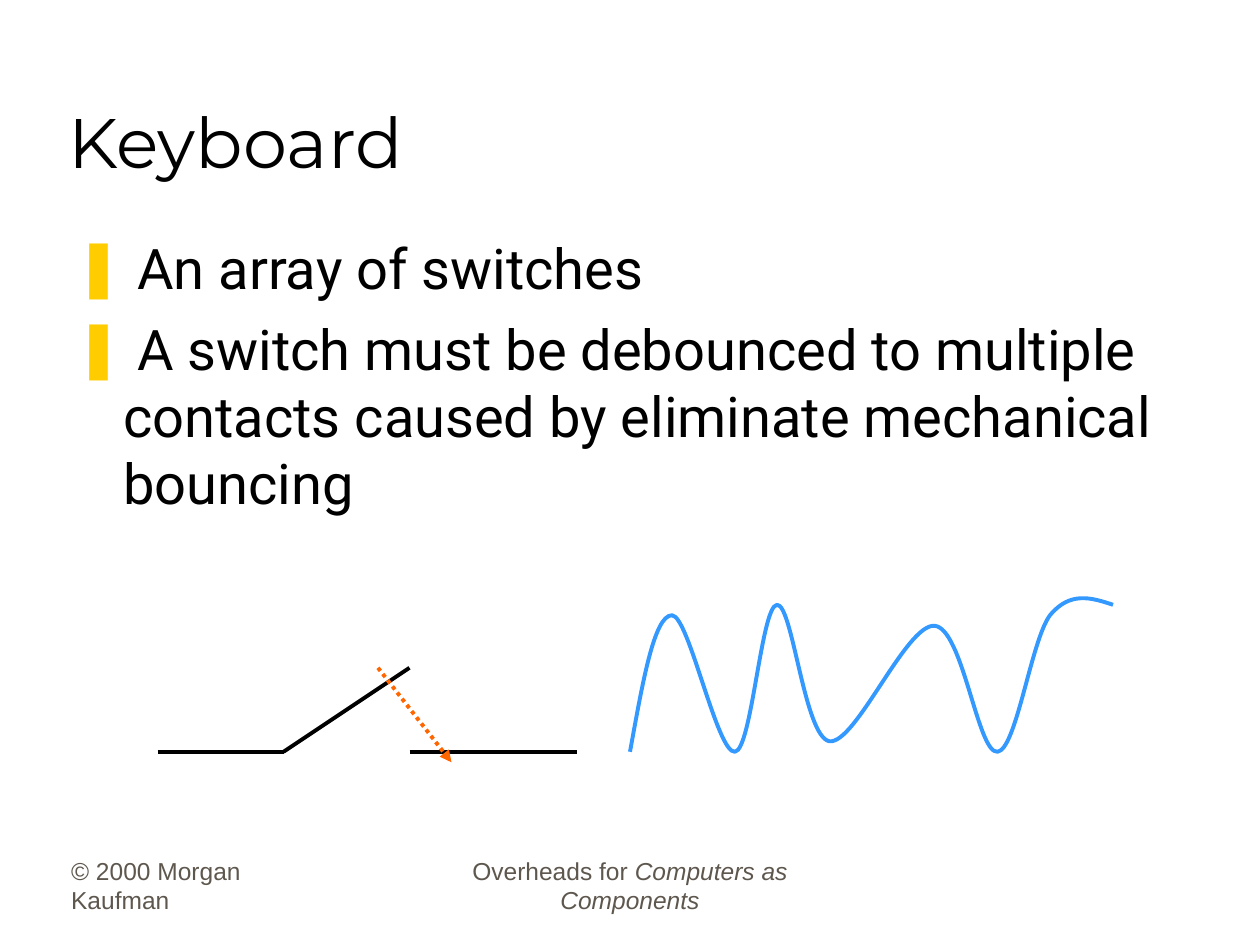
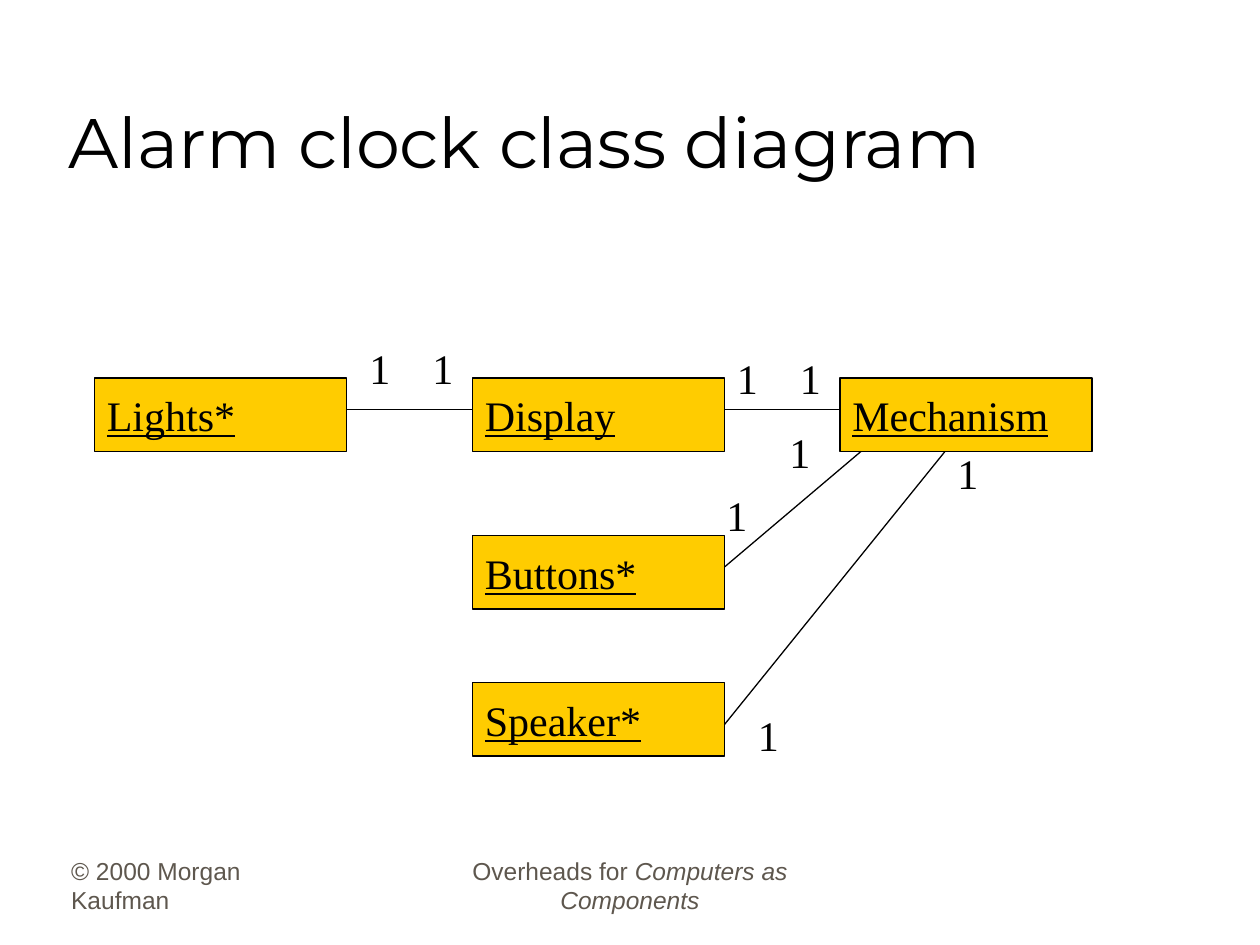
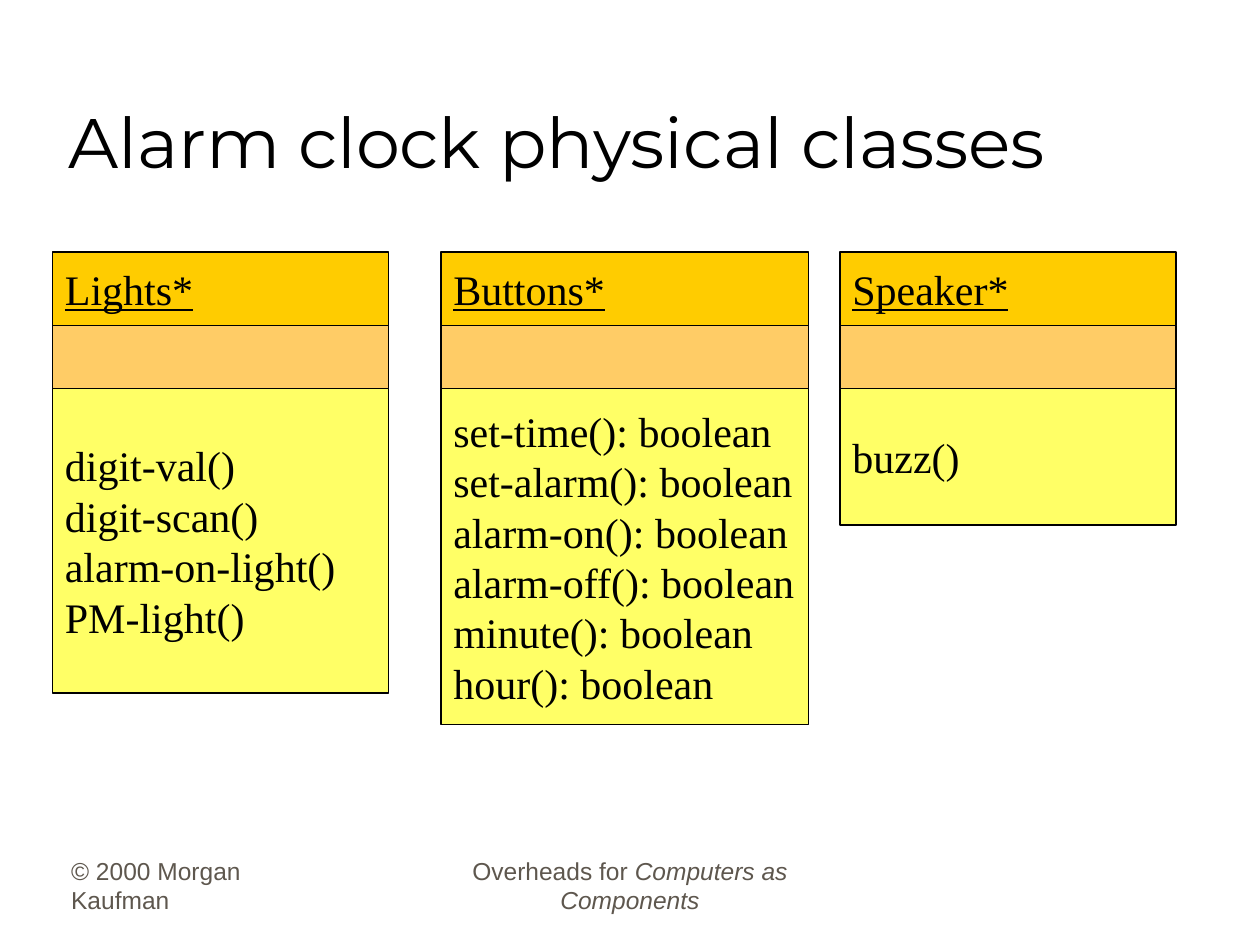
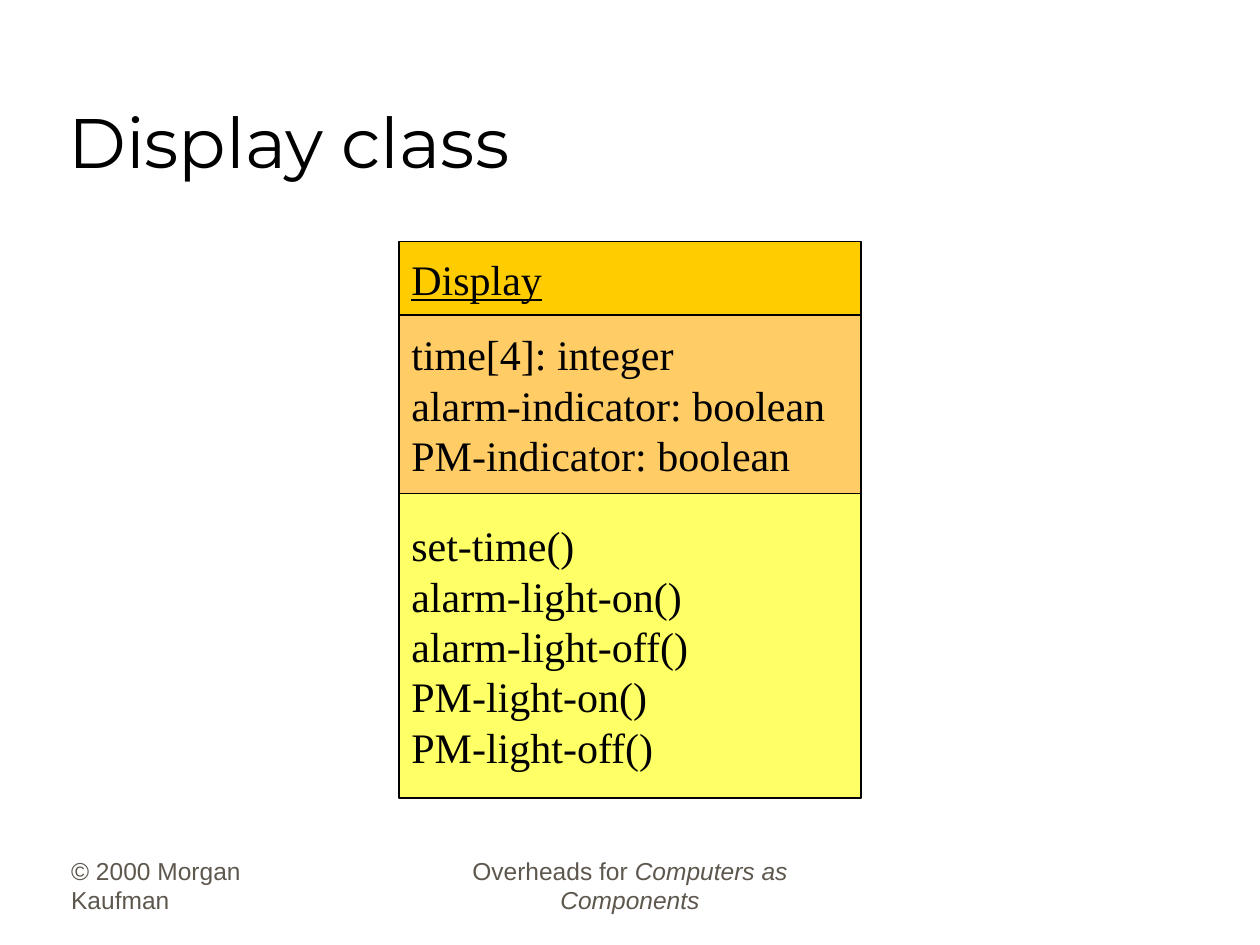
from lxml import etree
from pptx import Presentation
from pptx import util as u
from pptx.dml.color import RGBColor
from pptx.enum import dml, shapes, text
from pptx.oxml import ns

COLORS = {
    "ink": "000000", "footer": "5E574E", "name": "FFCC00", "attributes": "FFCC66",
    "methods": "FFFF66", "motion": "FF6600", "signal": "3399FF",
}
FONTS = {
    "title": {"name": "Montserrat", "size": u.Pt(40)},
    "list": {"name": "Roboto", "size": u.Pt(32)},
    "footer": {"name": "Arial", "size": u.Pt(14)},
    "diagram": {"name": "Times New Roman", "size": u.Pt(24)},
}
UNIT = u.Inches(10) // 120  # the slide is a grid of 120 columns by 90 rows
NAME_ROWS = 7
FOOTERS = [
    (5.6, 25, text.PP_ALIGN.LEFT, [("© 2000 Morgan Kaufman", False)]),
    (41, 38, text.PP_ALIGN.CENTER,
     [("Overheads for ", False), ("Computers as Components", True)]),
]


def grid(*cells):
    return [u.Emu(round(cell * UNIT)) for cell in cells]


def color(key):
    return RGBColor.from_string(COLORS[key])


def set_all(target, values):
    for key, value in values.items():
        setattr(target, key, value)


def xml_child(parent, tag, **attributes):
    return etree.SubElement(parent, ns.qn(tag), attributes)


def write(paragraph, words, style, ink="ink", **extra):
    run = paragraph.add_run()
    run.text = words
    set_all(run.font, {**FONTS[style], **extra})
    run.font.color.rgb = color(ink)


def place(item, *cells):
    set_all(item, dict(zip(("left", "top", "width", "height"), grid(*cells))))


def set_frame(frame, anchor, wrap=True):
    set_all(frame, {"vertical_anchor": anchor, "word_wrap": wrap,
                    "auto_size": text.MSO_AUTO_SIZE.NONE})


def paragraphs(frame, count):
    return [frame.paragraphs[0]] + [frame.add_paragraph() for _ in range(count - 1)]


def new_slide(deck, heading, layout=5):
    slide = deck.slides.add_slide(deck.slide_layouts[layout])
    title = slide.shapes.title
    place(title, 5.3, 3, 102, 15)
    set_frame(title.text_frame, text.MSO_ANCHOR.BOTTOM)
    paragraph = title.text_frame.paragraphs[0]
    paragraph.alignment = text.PP_ALIGN.LEFT
    write(paragraph, heading, "title")
    for left, width, alignment, parts in FOOTERS:
        frame = slide.shapes.add_textbox(*grid(left, 81.7, width, 6)).text_frame
        set_frame(frame, text.MSO_ANCHOR.BOTTOM)
        frame.paragraphs[0].alignment = alignment
        for words, italic in parts:
            write(frame.paragraphs[0], words, "footer", "footer", italic=italic)
    return slide


def bullet_list(body, items):
    place(body, 6, 21.6, 107.3, 31.9)
    set_frame(body.text_frame, text.MSO_ANCHOR.TOP)
    for index, paragraph in enumerate(paragraphs(body.text_frame, len(items))):
        properties = paragraph._p.get_or_add_pPr()
        indent = u.Inches(0.38)
        properties.set("marL", str(indent))
        properties.set("indent", str(-indent))
        xml_child(xml_child(properties, "a:buClr"), "a:srgbClr", val=COLORS["name"])
        xml_child(properties, "a:buChar", char="❚")
        paragraph.space_before = u.Pt(8 if index else 0)
        write(paragraph, items[index], "list")


def stroke(line, ink="ink", width=0.75):
    line.color.rgb = color(ink)
    line.width = u.Pt(width)


def connect(parent, ends, ink="ink", width=0.75, arrow=False):
    connector = parent.add_connector(shapes.MSO_CONNECTOR.STRAIGHT, *grid(*ends))
    stroke(connector.line, ink, width)
    if arrow:
        connector.line.dash_style = dml.MSO_LINE.ROUND_DOT
        xml_child(connector.line._get_or_add_ln(), "a:tailEnd", type="triangle")
    xml_child(connector._element.spPr, "a:effectLst")


def curve(parent, start, points, ink, width):
    """Draw cubic curves; each three points are two controls and an end."""
    builder = parent.build_freeform(*grid(*start))
    builder.add_line_segments([grid(*point) for point in points], close=False)
    wave = builder.convert_to_shape()
    wave.shadow.inherit = False
    wave.fill.background()
    stroke(wave.line, ink, width)
    segments = list(wave._element.iter(ns.qn("a:lnTo")))
    outline = segments[0].getparent()
    for first in range(0, len(segments), 3):
        bezier = xml_child(outline, "a:cubicBezTo")
        for segment in segments[first:first + 3]:
            bezier.append(segment[0])
            outline.remove(segment)


def compartment(slide, cells, part, lines):
    box = slide.shapes.add_shape(shapes.MSO_SHAPE.RECTANGLE, *grid(*cells))
    box.shadow.inherit = False
    box.fill.solid()
    box.fill.fore_color.rgb = color(part)
    stroke(box.line)
    set_frame(box.text_frame, text.MSO_ANCHOR.MIDDLE, wrap=False)
    for paragraph, line in zip(paragraphs(box.text_frame, len(lines)), lines):
        paragraph.alignment = text.PP_ALIGN.LEFT
        write(paragraph, line, "diagram", underline=part == "name")


def class_box(slide, left, top, width, name, attributes, methods):
    """Stack the compartments; attributes and methods are (rows, lines)."""
    for part, (rows, lines) in (("name", (NAME_ROWS, [name])),
                                ("attributes", attributes), ("methods", methods)):
        compartment(slide, (left, top, width, rows), part, lines)
        top += rows


def multiplicity(slide, left, top):
    frame = slide.shapes.add_textbox(*grid(left, top, 4.3, 6)).text_frame
    set_frame(frame, text.MSO_ANCHOR.TOP, wrap=False)
    write(frame.paragraphs[0], "1", "diagram")


def keyboard(deck):
    slide = new_slide(deck, "Keyboard", layout=1)
    bullet_list(slide.placeholders[1], [
        " An array of switches",
        " A switch must be debounced to multiple contacts caused by "
        "eliminate mechanical bouncing",
    ])
    drawing = slide.shapes.add_group_shape().shapes
    level = 71.6
    for ends in ((15, level, 27, level), (27, level, 39, 63.6), (39, level, 55, level)):
        connect(drawing, ends, width=2.25)
    connect(drawing, (36, 63.6, 43, 72.6), "motion", 2.25, arrow=True)
    curve(drawing, (60, level), [
        (61.2, 65), (62.3, 58.6), (64, 58.6),
        (65.6, 58.6), (68.3, 71.8), (70, level),
        (71.6, 71.4), (72.5, 57.7), (74, 57.6),
        (75.5, 57.5), (76.6, 70.2), (79, 70.6),
        (81.5, 70.9), (86.3, 59.4), (89, 59.6),
        (91.7, 59.8), (93.1, 71.8), (95, level),
        (96.8, 71.4), (98.2, 61), (100, 58.6),
        (101.9, 56.3), (103.9, 56.9), (106, 57.6),
    ], "signal", 2.25)


def class_diagram(deck):
    slide = new_slide(deck, "Alarm clock class diagram")
    for left, top, name in ((9, 36, "Lights*"), (45, 36, "Display"), (80, 36, "Mechanism"),
                            (45, 51, "Buttons*"), (45, 65, "Speaker*")):
        compartment(slide, (left, top, 24, NAME_ROWS), "name", [name])
    for ends in ((33, 39, 45, 39), (69, 39, 80, 39), (69, 54, 82, 43), (69, 69, 90, 43)):
        connect(slide.shapes, ends)
    for spot in ((34, 32), (40, 32), (69, 33), (75, 33),
                 (68, 46), (74, 40), (71, 67), (90, 42)):
        multiplicity(slide, *spot)


def physical_classes(deck):
    slide = new_slide(deck, "Alarm clock physical classes")
    for left, width, name, rows, methods in (
        (5, 32, "Lights*", 29,
         ["digit-val()", "digit-scan()", "alarm-on-light()", "PM-light()"]),
        (42, 35, "Buttons*", 32,
         [f"{action}(): boolean" for action in
          ("set-time", "set-alarm", "alarm-on", "alarm-off", "minute", "hour")]),
        (80, 32, "Speaker*", 13, ["buzz()"]),
    ):
        class_box(slide, left, 24, width, name, (6, []), (rows, methods))


def display_class(deck):
    slide = new_slide(deck, "Display class")
    class_box(
        slide, 38, 23, 44, "Display",
        (17, ["time[4]: integer", "alarm-indicator: boolean", "PM-indicator: boolean"]),
        (29, ["set-time()", "alarm-light-on()", "alarm-light-off()",
              "PM-light-on()", "PM-light-off()"]))


def main():
    deck = Presentation()
    deck.slide_width, deck.slide_height = grid(120, 90)
    for build in (keyboard, class_diagram, physical_classes, display_class):
        build(deck)
    deck.save("out.pptx")


if __name__ == "__main__":
    main()
